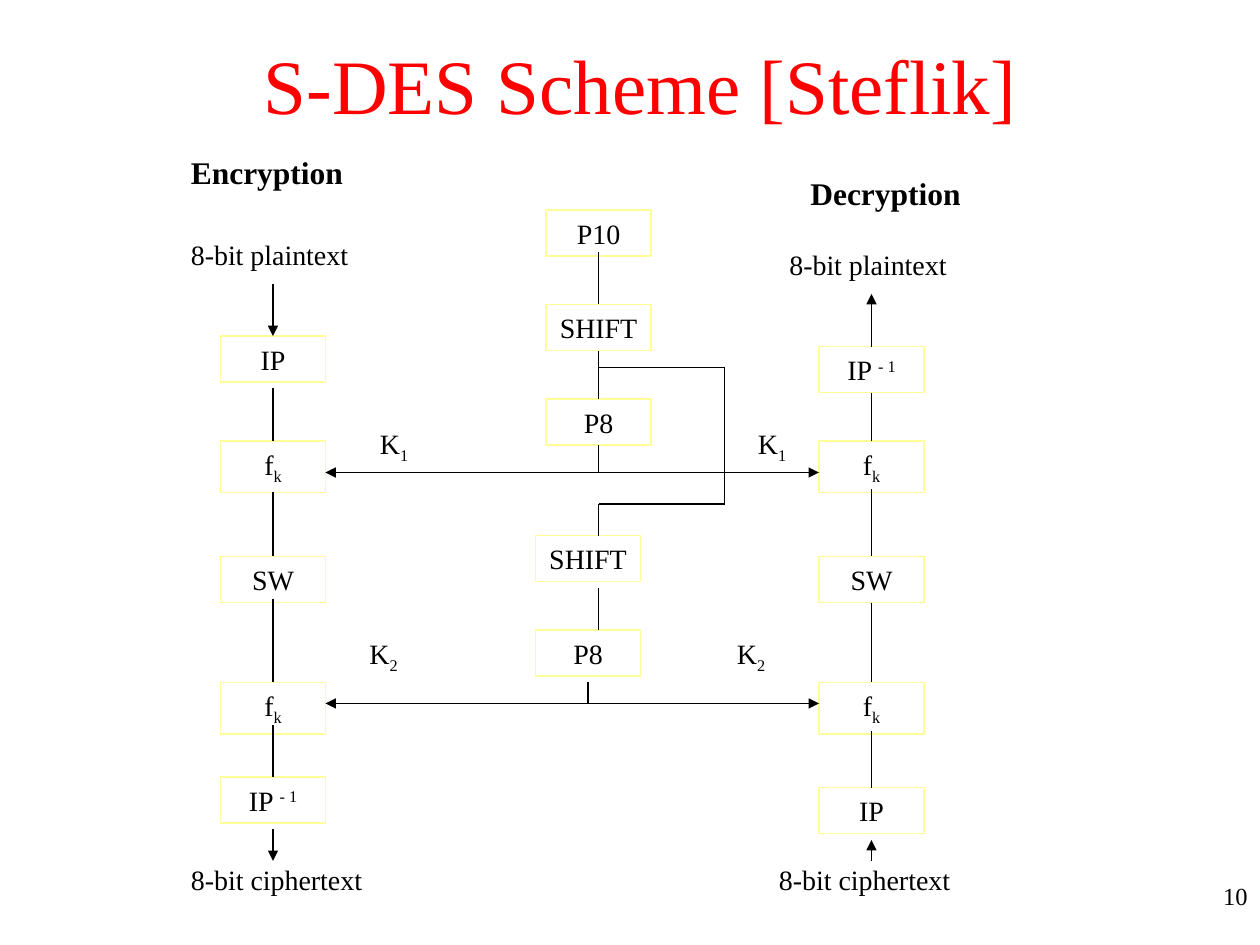
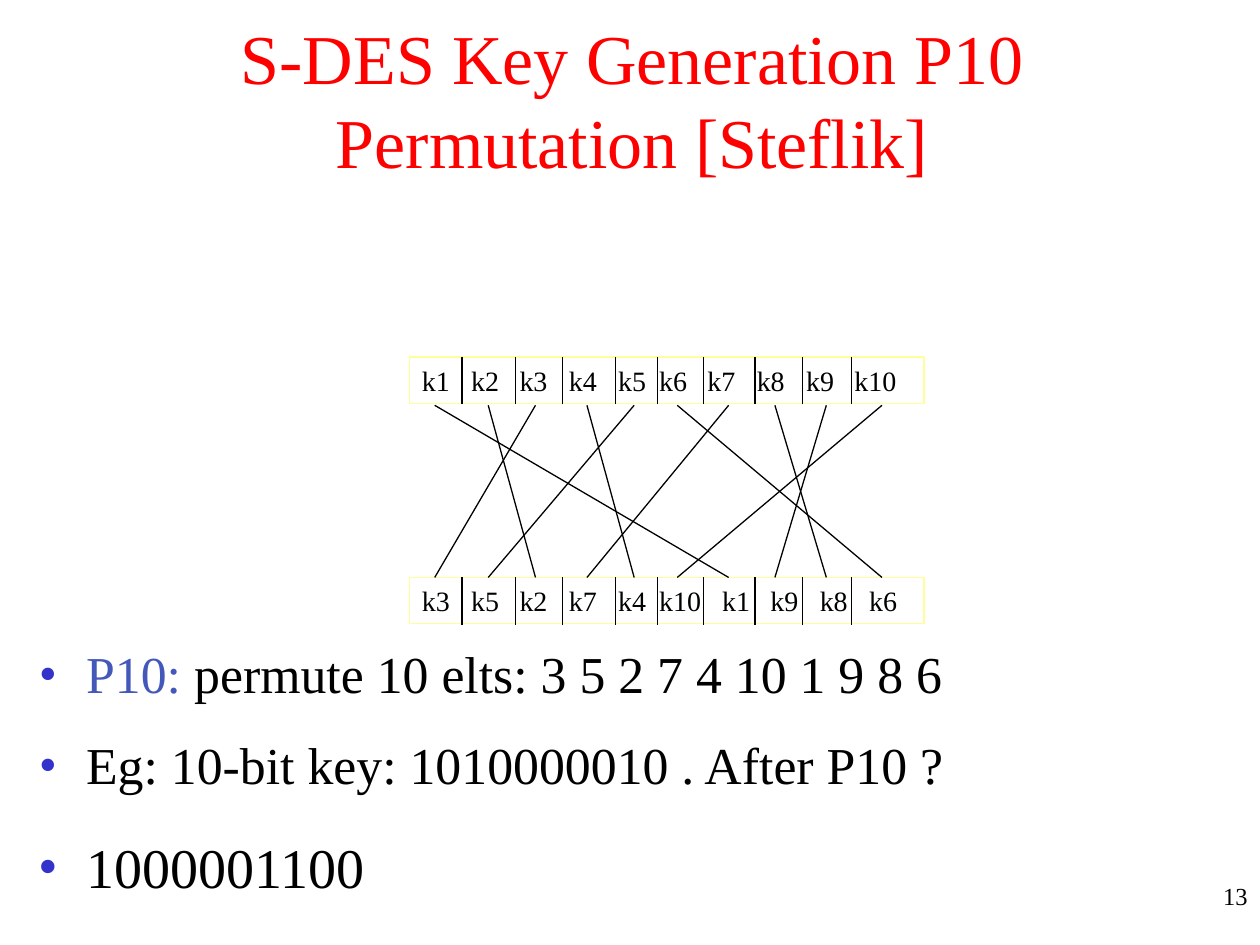
from lxml.etree import SubElement
from pptx import Presentation
from pptx.dml.color import RGBColor
from pptx.enum.shapes import MSO_CONNECTOR, MSO_SHAPE
from pptx.enum.text import MSO_ANCHOR, MSO_AUTO_SIZE, PP_ALIGN
from pptx.oxml.ns import qn
from pptx.util import Pt

EMU_PER_PX = 7620  # 120 px to the inch
COLORS = {"ink": "000000", "title": "FF0000", "box": "FFFF99", "bullet": "3333CC", "term": "4458BA"}
FONT = "Times New Roman"
TOP, BOTTOM = 0, 2  # connection sites of a rectangle
TITLE_ONLY, TWO_CONTENT = 5, 3
BOX_WIDTH, BOX_HEIGHT, ROUND_HEIGHT = 100, 44, 49

SUB, SUPER = -25000, 30000
ROUND = [("f", {}), ("k", {"baseline": SUB})]
INVERSE_IP = [("IP ", {}), ("- 1", {"baseline": SUPER})]


def px(*lengths):
    return [length * EMU_PER_PX for length in lengths]


def color(name):
    return RGBColor.from_string(COLORS[name])


class Deck:
    def __init__(self):
        self.presentation = Presentation()
        self.presentation.slide_width, self.presentation.slide_height = px(1200, 900)
        self.slide = None

    def start_slide(self, layout, title, area, size, number):
        self.slide = self.presentation.slides.add_slide(self.presentation.slide_layouts[layout])
        heading = self.place(self.slide.shapes.title, area)
        heading.vertical_anchor = MSO_ANCHOR.MIDDLE
        self.fill_text(heading.paragraphs[0], title, size, "title", align=PP_ALIGN.CENTER)
        self.label(number, 1147, 833, 53, 47, size=14, align=PP_ALIGN.RIGHT)

    def place(self, placeholder, area):
        placeholder.left, placeholder.top, placeholder.width, placeholder.height = px(*area)
        placeholder.text_frame.auto_size = MSO_AUTO_SIZE.NONE
        return placeholder.text_frame

    def fill_text(self, paragraph, content, size=16, ink="ink", bold=False, align=PP_ALIGN.LEFT):
        """Fill a paragraph with a string, or with (text, style) pieces."""
        pieces = [(content, {})] if isinstance(content, str) else content
        paragraph.alignment = align
        for text, style in pieces:
            run = paragraph.add_run()
            run.text = text
            run.font.name, run.font.size, run.font.bold = FONT, Pt(size), bold
            run.font.color.rgb = color(style.get("ink", ink))
            if "baseline" in style:
                run.font._element.set("baseline", str(style["baseline"]))

    def label(self, content, x, y, width, height=BOX_HEIGHT, **style):
        frame = self.slide.shapes.add_textbox(*px(x, y, width, height)).text_frame
        frame.word_wrap = True
        self.fill_text(frame.paragraphs[0], content, **style)

    def box(self, content, x, y, width=BOX_WIDTH, height=BOX_HEIGHT, align=PP_ALIGN.CENTER, tabs=()):
        rectangle = self.slide.shapes.add_shape(MSO_SHAPE.RECTANGLE, *px(x, y, width, height))
        rectangle.shadow.inherit = False
        rectangle.fill.background()
        rectangle.line.color.rgb = color("box")
        rectangle.line.width = Pt(0.75)
        frame = rectangle.text_frame
        frame.word_wrap = True
        frame.vertical_anchor = MSO_ANCHOR.TOP
        paragraph = frame.paragraphs[0]
        if tabs:
            stops = SubElement(paragraph._p.get_or_add_pPr(), qn("a:tabLst"))
            for stop in tabs:
                SubElement(stops, qn("a:tab"), pos=str(stop * EMU_PER_PX), algn="l")
        self.fill_text(paragraph, content, align=align)
        return rectangle

    def wire(self, x1, y1, x2, y2, begin=None, end=None, arrows=()):
        """Draw a line, joined at begin or end to the bottom or top of a box."""
        line = self.slide.shapes.add_connector(MSO_CONNECTOR.STRAIGHT, *px(x1, y1, x2, y2))
        if begin:
            line.begin_connect(*begin)
        if end:
            line.end_connect(*end)
        line.line.color.rgb = color("ink")
        line.line.width = Pt(0.75)
        for arrow in arrows:
            SubElement(line.line._get_or_add_ln(), qn(f"a:{arrow}"), type="triangle")
        SubElement(line._element.spPr, qn("a:effectLst"))

    def bullets(self, index, items, area, size, line_spacing=1.0):
        frame = self.place(self.slide.placeholders[index], area)
        for position, content in enumerate(items):
            paragraph = frame.add_paragraph() if position else frame.paragraphs[0]
            properties = paragraph._p.get_or_add_pPr()
            properties.set("marL", str(45 * EMU_PER_PX))
            properties.set("indent", str(-45 * EMU_PER_PX))
            bullet_color = SubElement(properties, qn("a:buClr"))
            SubElement(bullet_color, qn("a:srgbClr"), val=COLORS["bullet"])
            SubElement(properties, qn("a:buFont"), typeface=FONT)
            SubElement(properties, qn("a:buChar"), char="•")
            paragraph.space_before = Pt(20 if position else 0)
            paragraph.line_spacing = line_spacing
            self.fill_text(paragraph, content, size)


def add_scheme(deck):
    deck.start_slide(TITLE_ONLY, "S-DES Scheme [Steflik]", (100, 30, 1020, 100), 44, "10")

    def column(x, stages):
        return [deck.box(content, x, y, height=ROUND_HEIGHT if content is ROUND else BOX_HEIGHT)
                for content, y in stages]

    rounds = [(ROUND, 420), ("SW", 530), (ROUND, 650)]
    ip, fk1, sw, fk2, inverse = column(210, [("IP", 320), *rounds, (INVERSE_IP, 740)])
    out_inverse, out_fk1, out_sw, out_fk2, _ = column(780, [(INVERSE_IP, 330), *rounds, ("IP", 750)])
    p10, shift1, p8 = column(520, [("P10", 200), ("SHIFT", 290), ("P8", 380)])
    column(510, [("SHIFT", 510), ("P8", 600)])

    # Key schedule
    deck.wire(570, 240, 570, 290, end=(shift1, TOP))
    deck.wire(570, 334, 570, 380, (shift1, BOTTOM), (p8, TOP))
    deck.wire(570, 424, 570, 450, begin=(p8, BOTTOM))
    bypass = [(570, 350), (690, 350), (690, 480), (570, 480), (570, 510)]
    for start, stop in zip(bypass, bypass[1:]):
        deck.wire(*start, *stop)
    deck.wire(570, 560, 570, 600)
    deck.wire(560, 650, 560, 670)
    for key_y in (450, 670):
        deck.wire(310, key_y, 780, key_y, arrows=("headEnd", "tailEnd"))

    # Encryption flow
    into = ("tailEnd",)
    deck.wire(260, 270, 260, 320, end=(ip, TOP), arrows=into)
    deck.wire(260, 370, 260, 420, end=(fk1, TOP))
    deck.wire(260, 469, 260, 530, (fk1, BOTTOM), (sw, TOP))
    deck.wire(260, 570, 260, 650, end=(fk2, TOP))
    deck.wire(260, 690, 260, 740, end=(inverse, TOP))
    deck.wire(260, 790, 260, 820, arrows=into)

    # Decryption flow
    deck.wire(830, 330, 830, 280, begin=(out_inverse, TOP), arrows=into)
    deck.wire(830, 374, 830, 420, (out_inverse, BOTTOM), (out_fk1, TOP))
    deck.wire(830, 466, 830, 530, end=(out_sw, TOP))
    deck.wire(830, 574, 830, 650, (out_sw, BOTTOM), (out_fk2, TOP))
    deck.wire(830, 696, 830, 750)
    deck.wire(830, 820, 830, 800, arrows=into)

    deck.label("Encryption", 170, 140, 180, size=18, bold=True)
    deck.label("Decryption", 760, 160, 180, size=18, bold=True)
    deck.label("8-bit plaintext", 170, 220, 190)
    deck.label("8-bit plaintext", 740, 230, 190)
    for x in (170, 730):
        deck.label("8-bit ciphertext", x, 816, 220)
    for key, x, y in (("1", 350, 400), ("1", 710, 400), ("2", 340, 600), ("2", 690, 600)):
        deck.label([("K", {}), (key, {"baseline": SUB})], x, y, 80, ROUND_HEIGHT)


def add_permutation(deck):
    deck.start_slide(TWO_CONTENT, "S-DES Key Generation P10 Permutation [Steflik]",
                     (90, 0, 1024, 187), 40, "13")
    p10_order = [3, 5, 2, 7, 4, 10, 1, 9, 8, 6]
    dividers = [440, 491, 536, 586, 626, 670, 719, 764, 811]
    centers = [414, 465, 510, 559, 604, 645, 694, 738, 787, 840]
    first_tabs = [47, 93, 140, 187, 226]
    key_rows = [(340, range(1, 11), [272, 319, 366, 412]),
                (550, p10_order, [286, 332, 379, 426])]
    for y, bits, last_tabs in key_rows:
        deck.box("\t".join(f"k{bit}" for bit in bits), 390, y, 490,
                 align=PP_ALIGN.LEFT, tabs=first_tabs + last_tabs)
        for x in dividers:
            deck.wire(x, y, x, y + 45)
    for target, bit in zip(centers, p10_order):
        deck.wire(centers[bit - 1], 386, target, 550)

    deck.bullets(1, [
        [("P10:", {"ink": "term"}), (" permute 10 elts: 3 5 2 7 4 10 1 9 8 6", {})],
        "Eg: 10-bit key: 1010000010 . After P10 ?",
    ], (25, 612, 1072, 164), 29.6, 0.9)
    deck.bullets(2, ["1000001100"], (25, 787, 1070, 89), 32)


def main():
    deck = Deck()
    add_scheme(deck)
    add_permutation(deck)
    deck.presentation.save("out.pptx")


if __name__ == "__main__":
    main()
